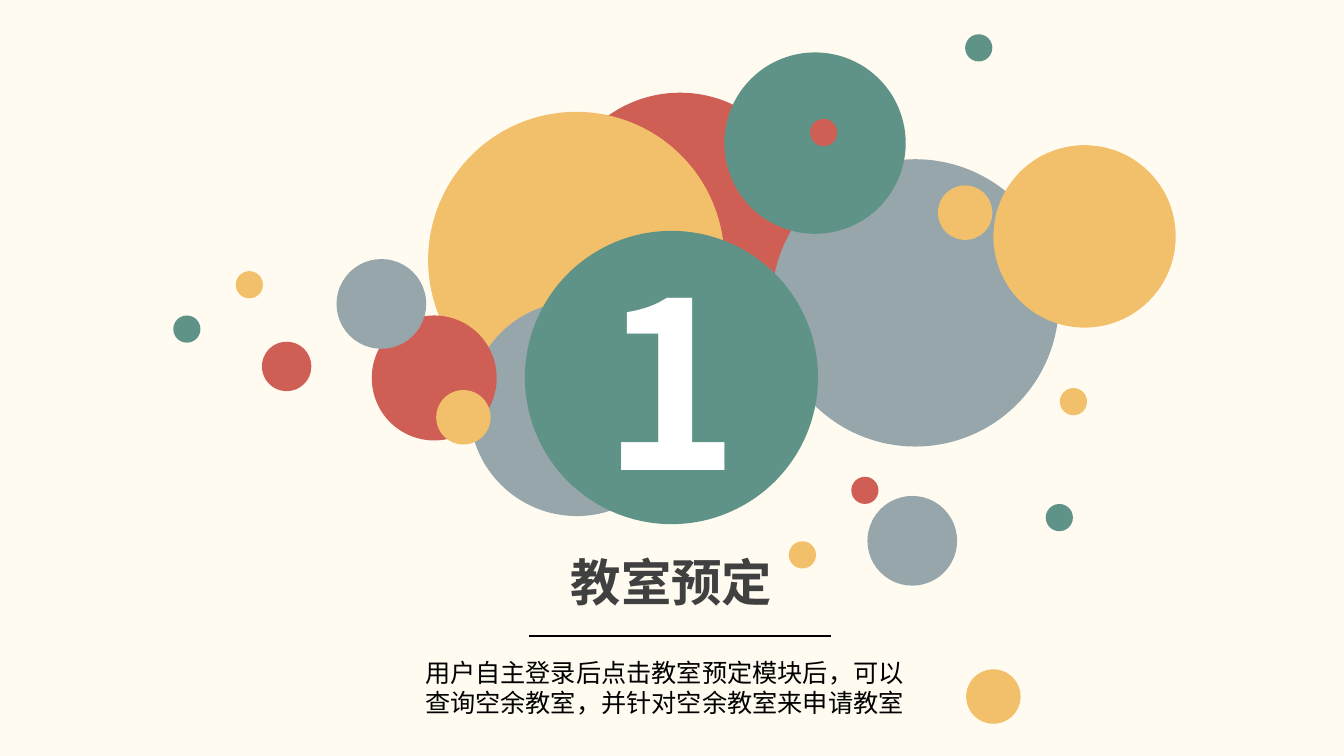
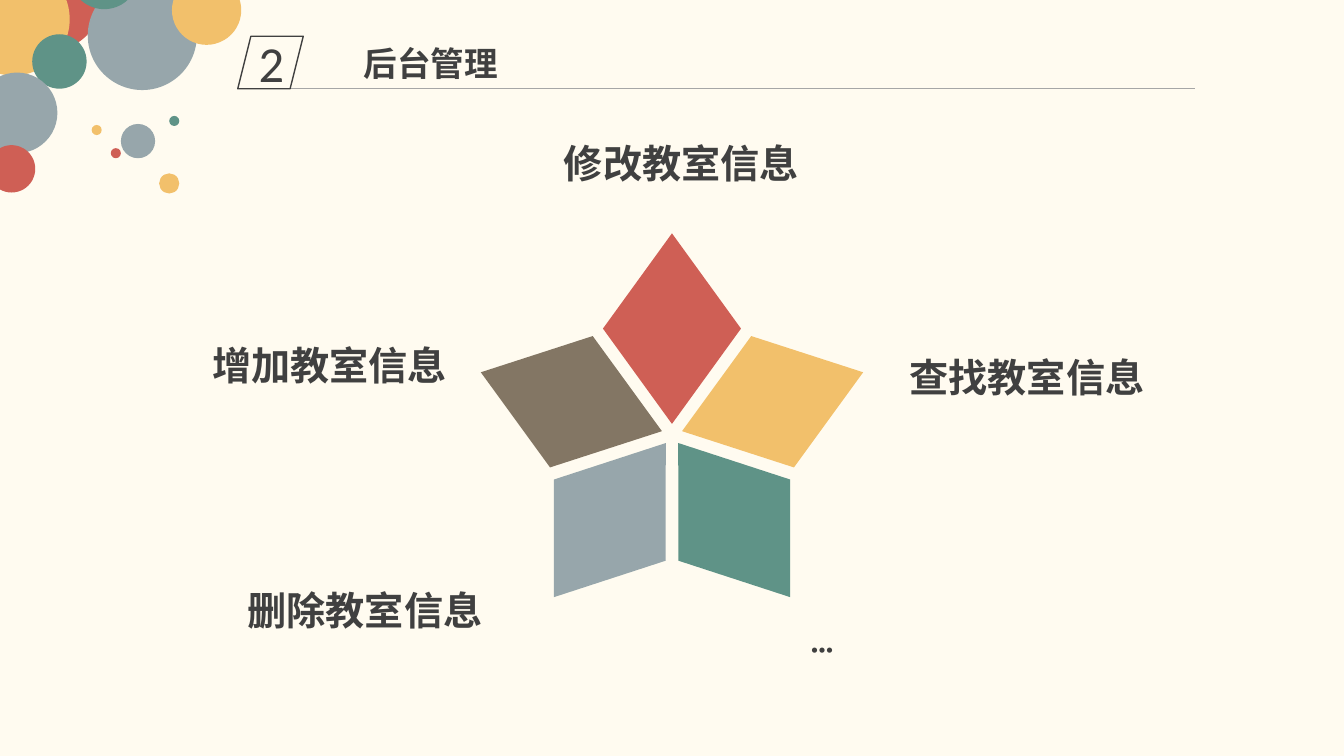
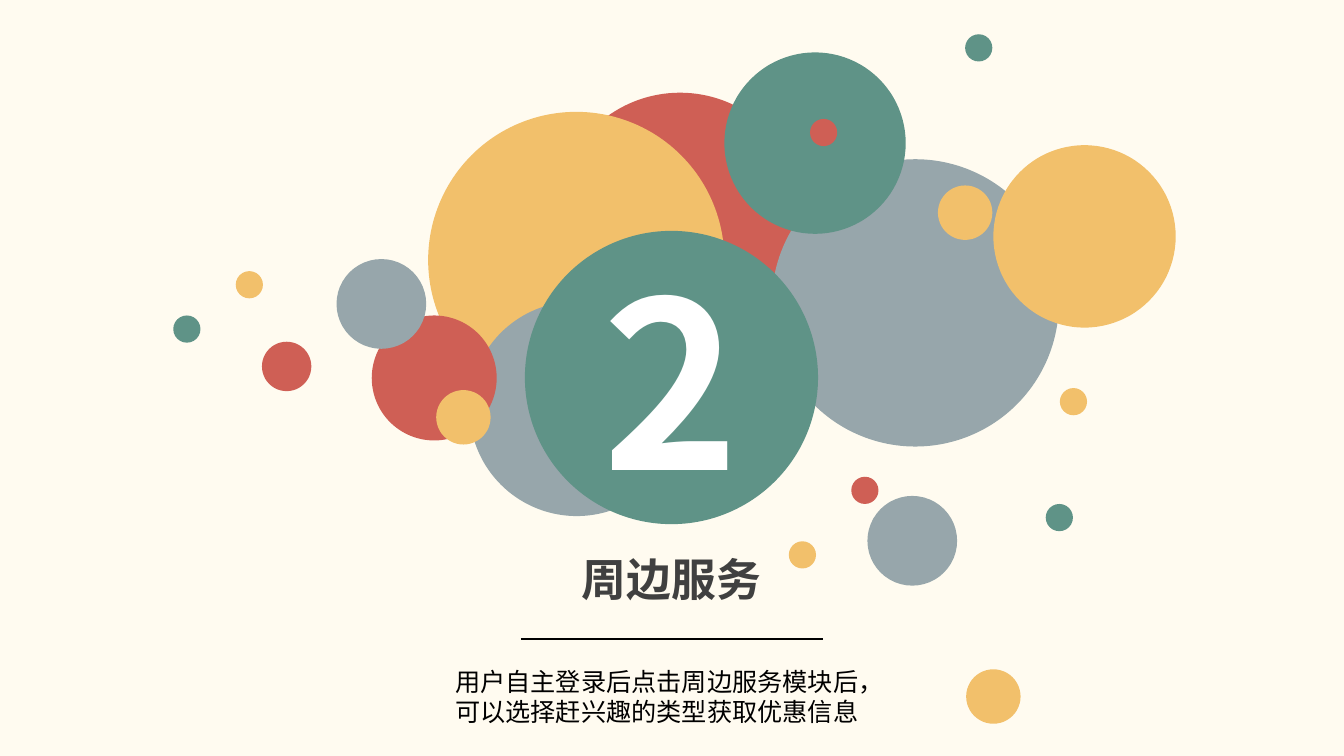
from math import cos, radians, sin

from pptx import Presentation
from pptx.dml.color import RGBColor
from pptx.enum.shapes import MSO_CONNECTOR, MSO_SHAPE
from pptx.enum.text import MSO_ANCHOR, MSO_AUTO_SIZE, PP_ALIGN
from pptx.oxml.xmlchemy import OxmlElement
from pptx.util import Inches, Pt

COLUMNS, ROWS = 133.4, 75
CELL = Inches(0.1)

CREAM = RGBColor(0xFF, 0xFB, 0xF0)
RED = RGBColor(0xCF, 0x5F, 0x55)
YELLOW = RGBColor(0xF2, 0xC0, 0x6B)
GREY = RGBColor(0x97, 0xA6, 0xAB)
GREEN = RGBColor(0x5F, 0x93, 0x87)
BROWN = RGBColor(0x83, 0x76, 0x64)
CHARCOAL = RGBColor(0x40, 0x40, 0x40)
SILVER = RGBColor(0xA6, 0xA6, 0xA6)
BLACK = RGBColor(0x00, 0x00, 0x00)
WHITE = RGBColor(0xFF, 0xFF, 0xFF)

HEADING_FONT = "Noto Sans CJK SC"
BODY_FONT = "Calibri"

# Bubbles are (column, row, diameter, colour), all in grid cells.
CORE_BUBBLES = [
    (55.2, 9.2, 24.6, RED),
    (42.5, 11.1, 29.4, YELLOW),
    (76.6, 15.8, 28.5, GREY),
    (71.9, 5.2, 18, GREEN),
    (98.6, 14.4, 18.1, YELLOW),
]
SECTION_BUBBLES = [
    (46.6, 29.9, 21.3, GREY),
    (36.9, 31.3, 12.4, RED),
    (86.1, 49.2, 8.9, GREY),
    (84.5, 47.3, 2.7, RED),
    (78.3, 53.7, 2.7, YELLOW),
    (103.8, 50, 2.7, GREEN),
    (95.9, 66.4, 5.4, YELLOW),
    (33.4, 25.7, 8.9, GREY),
    (26, 33.9, 4.9, RED),
    (23.4, 26.9, 2.7, YELLOW),
    (17.2, 31.3, 2.7, GREEN),
    (43.3, 38.7, 5.4, YELLOW),
    (80.4, 11.8, 2.7, RED),
    (105.2, 38.5, 2.7, YELLOW),
    (95.8, 3.4, 2.7, GREEN),
    (93.1, 18.4, 5.4, YELLOW),
]
CORNER_BUBBLES = [
    (3.2, 3.4, 5.4, GREEN),
    (-2.3, 7.2, 8, GREY),
    (-1.2, 14.4, 4.7, RED),
    (12, 12.3, 3.4, GREY),
    (11, 14.7, 1, RED),
    (9.1, 12.4, 1, YELLOW),
    (16.8, 11.5, 1, GREEN),
    (15.8, 17.2, 2, YELLOW),
]
CORNER_SCALE, CORNER_SHIFT = 0.38, (-20.4, -7.9)

STAR_CENTRE, STAR_RADIUS = (66.7, 43.1), 10.5
PETAL_WIDTH, PETAL_HEIGHT = 13.7, 18.9
PETAL_COLOURS = [RED, YELLOW, GREEN, GREY, BROWN]


def cells(*counts):
    return [round(count * CELL) for count in counts]


def write(frame, text, size, colour, font=BODY_FONT, bold=False,
          align=PP_ALIGN.LEFT):
    frame.word_wrap = True
    para = frame.paragraphs[0]
    para.text = text
    para.alignment = align
    para.font.name = font
    para.font.size = Pt(size)
    para.font.bold = bold
    para.font.color.rgb = colour
    east_asian = OxmlElement("a:ea")
    east_asian.set("typeface", font)
    para.font._element.find("{*}latin").addnext(east_asian)


def add_text(page, area, text, size, colour, **style):
    box = page.shapes.add_textbox(*cells(*area))
    box.text_frame.auto_size = MSO_AUTO_SIZE.SHAPE_TO_FIT_TEXT
    write(box.text_frame, text, size, colour, **style)


def add_figure(shapes, preset, area, fill=None):
    """Add a flat preset shape without outline; no fill leaves it hollow."""
    figure = shapes.add_shape(preset, *cells(*area))
    figure.shadow.inherit = False
    figure.line.fill.background()
    if fill is None:
        figure.fill.background()
    else:
        figure.fill.solid()
        figure.fill.fore_color.rgb = fill
    return figure


def add_bubbles(shapes, bubbles, scale=1, shift=(0, 0)):
    for column, row, diameter, colour in bubbles:
        area = (column * scale + shift[0], row * scale + shift[1],
                diameter * scale, diameter * scale)
        add_figure(shapes, MSO_SHAPE.OVAL, area, colour)


def add_rule(page, column, row, length, colour, weight):
    rule = page.shapes.add_connector(
        MSO_CONNECTOR.STRAIGHT, *cells(column, row, column + length, row))
    rule.line.color.rgb = colour
    rule.line.width = Pt(weight)
    rule._element.spPr.append(OxmlElement("a:effectLst"))


def add_page(deck):
    return deck.slides.add_slide(deck.slide_layouts[6])


def add_section(deck, number, title, title_size, rule_at, summary, summary_area):
    page = add_page(deck)
    add_bubbles(page.shapes, CORE_BUBBLES + SECTION_BUBBLES)
    badge = add_figure(page.shapes, MSO_SHAPE.OVAL, (52.1, 22.9, 29.1, 29.1), GREEN)
    badge.text_frame.vertical_anchor = MSO_ANCHOR.MIDDLE
    write(badge.text_frame, number, 166, WHITE, font=HEADING_FONT, bold=True,
          align=PP_ALIGN.CENTER)
    add_text(page, (36.5, 54.2, 60.3, 7), title, title_size, CHARCOAL,
             font=HEADING_FONT, bold=True, align=PP_ALIGN.CENTER)
    add_rule(page, *rule_at, 30, BLACK, 1.75)
    add_text(page, summary_area, summary, 18, BLACK)


def add_header(page, number, title):
    corner = page.shapes.add_group_shape()
    add_bubbles(corner.shapes, CORE_BUBBLES, CORNER_SCALE, CORNER_SHIFT)
    add_bubbles(corner.shapes, CORNER_BUBBLES)
    add_rule(page, 28.4, 8.8, 90.2, SILVER, 0.5)
    tab = add_figure(page.shapes, MSO_SHAPE.PARALLELOGRAM, (23.6, 3.6, 6.5, 5.2))
    tab.line.color.rgb = CHARCOAL
    tab.line.width = Pt(1)
    tab.text_frame.vertical_anchor = MSO_ANCHOR.MIDDLE
    write(tab.text_frame, number, 36, CHARCOAL, align=PP_ALIGN.CENTER)
    add_text(page, (35.1, 3.8, 51.3, 5), title, 24, CHARCOAL,
             font=HEADING_FONT, bold=True)


def add_star(page):
    """Turn equal petals around one centre, clockwise from the top."""
    step = 360 / len(PETAL_COLOURS)
    for index, colour in enumerate(PETAL_COLOURS):
        turn = index * step
        column = STAR_CENTRE[0] + STAR_RADIUS * sin(radians(turn))
        row = STAR_CENTRE[1] - STAR_RADIUS * cos(radians(turn))
        area = (column - PETAL_WIDTH / 2, row - PETAL_HEIGHT / 2,
                PETAL_WIDTH, PETAL_HEIGHT)
        petal = add_figure(page.shapes, MSO_SHAPE.DIAMOND, area, colour)
        petal.rotation = turn


def add_management(deck):
    page = add_page(deck)
    add_star(page)
    labels = [
        (20.1, 33.4, "增加教室信息", 28),
        (23.6, 57.7, "删除教室信息", 28),
        (79.5, 62.1, "···", 20),
        (89.3, 34.6, "查找教室信息", 28),
        (55, 13.3, "修改教室信息", 28),
    ]
    for column, row, text, size in labels:
        add_text(page, (column, row, 27, 5.7), text, size, CHARCOAL, bold=True)
    add_header(page, "2", "后台管理")


def main():
    deck = Presentation()
    deck.slide_width, deck.slide_height = cells(COLUMNS, ROWS)
    backdrop = deck.slide_master.background.fill
    backdrop.solid()
    backdrop.fore_color.rgb = CREAM
    add_section(deck, "1", "教室预定", 36, (52.5, 63.1),
                "用户自主登录后点击教室预定模块后，可以查询空余教室，并针对空余教室来申请教室",
                (41.2, 64.7, 50.9, 7.1))
    add_management(deck)
    add_section(deck, "2", "周边服务", 32, (51.7, 63.4),
                "用户自主登录后点击周边服务模块后，可以选择赶兴趣的类型获取优惠信息",
                (44.2, 65.6, 45.8, 7.1))
    deck.save("out.pptx")


if __name__ == "__main__":
    main()
